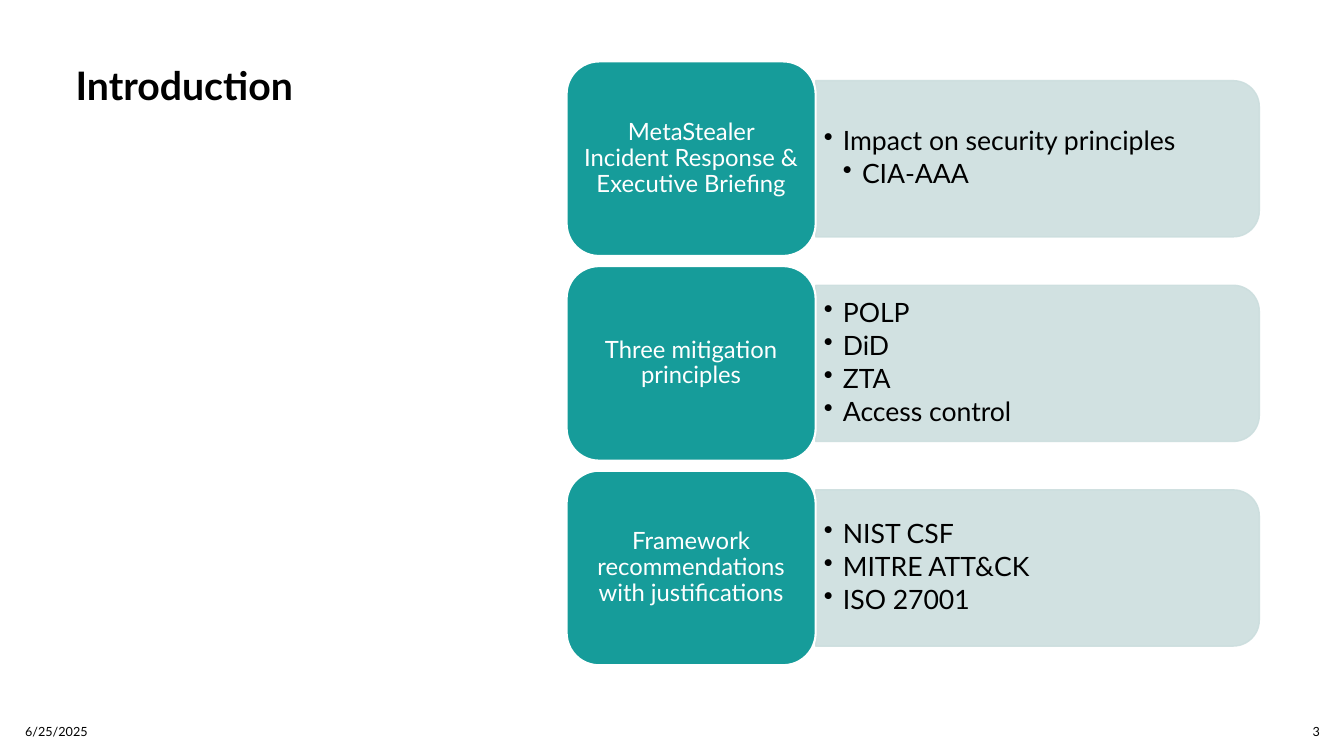
from lxml import etree
from pptx import Presentation
from pptx.dml.color import RGBColor
from pptx.enum.shapes import MSO_SHAPE
from pptx.enum.text import MSO_ANCHOR, MSO_AUTO_SIZE, PP_ALIGN
from pptx.oxml.ns import qn
from pptx.util import Inches, Pt

ROUNDED, TAB = MSO_SHAPE.ROUNDED_RECTANGLE, MSO_SHAPE.ROUND_2_SAME_RECTANGLE
TOP, MIDDLE = MSO_ANCHOR.TOP, MSO_ANCHOR.MIDDLE
LEFT, CENTER, RIGHT = PP_ALIGN.LEFT, PP_ALIGN.CENTER, PP_ALIGN.RIGHT
NO_FIT = MSO_AUTO_SIZE.NONE

TEAL = RGBColor(0x16, 0x9C, 0x9A)
MIST = RGBColor(0xCC, 0xDE, 0xDE)
WHITE = RGBColor(0xFF, 0xFF, 0xFF)
BLACK = RGBColor(0, 0, 0)
FONT = "Lato"

GRID_TOP, ROW_PITCH = 0.61, 2.03
LABEL_X, LABEL_W, LABEL_H = 5.62, 2.47, 1.93
PANEL_X, PANEL_W, PANEL_H = LABEL_X + LABEL_W, 4.4, 1.55
LIST_W, LIST_H = 4.32, 1.4
INDENT = 0.19
FOOTER_Y, FOOTER_H = 7.06, 0.4

TOPICS = [
    ("MetaStealer Incident Response & Executive Briefing",
     [("Impact on security principles", 0), ("CIA-AAA", 1)]),
    ("Three mitigation principles",
     [("POLP", 0), ("DiD", 0), ("ZTA", 0), ("Access control", 0)]),
    ("Framework recommendations with justifications",
     [("NIST CSF", 0), ("MITRE ATT&CK", 0), ("ISO 27001", 0)]),
]


def set_frame(tf, anchor=MIDDLE, side=0.1, edge=0.05):
    tf.word_wrap = True
    tf.auto_size = NO_FIT
    tf.vertical_anchor = anchor
    tf.margin_left = tf.margin_right = Inches(side)
    tf.margin_top = tf.margin_bottom = Inches(edge)


def add_run(p, text, size, color=BLACK, bold=False, align=LEFT, spacing=0.9):
    p.alignment = align
    p.line_spacing = spacing
    r = p.add_run()
    r.text = text
    r.font.name = FONT
    r.font.size = Pt(size)
    r.font.bold = bold
    r.font.color.rgb = color


def add_bullet(p, level):
    p.level = level
    pPr = p._p.get_or_add_pPr()
    pPr.set("marL", str(Inches(INDENT * (level + 1))))
    pPr.set("indent", str(Inches(-INDENT)))
    etree.SubElement(pPr, qn("a:buChar"), char="•")


def add_block(s, preset, x, y, w, h, fill, line, width):
    sp = s.shapes.add_shape(preset, Inches(x), Inches(y), Inches(w), Inches(h))
    sp.shadow.inherit = False
    sp.fill.solid()
    sp.fill.fore_color.rgb = fill
    sp.line.color.rgb = line
    sp.line.width = Pt(width)
    return sp


def add_title(s, text):
    sp = s.shapes.title
    sp.left, sp.top = Inches(0.65), Inches(GRID_TOP)
    sp.width, sp.height = Inches(3.93), Inches(1.92)
    set_frame(sp.text_frame, TOP)
    add_run(sp.text_frame.paragraphs[0], text, 28, bold=True)


def add_footer(s, text, x, w, align):
    sp = s.shapes.add_textbox(Inches(x), Inches(FOOTER_Y), Inches(w), Inches(FOOTER_H))
    set_frame(sp.text_frame)
    p = sp.text_frame.paragraphs[0]
    add_run(p, text, 9, align=align, spacing=1.0)
    p.space_after = Pt(6)


def add_panel(s, center_y):
    x = PANEL_X + (PANEL_W - PANEL_H) / 2
    sp = add_block(s, TAB, x, center_y - PANEL_W / 2, PANEL_H, PANEL_W, MIST, MIST, 1)
    sp.rotation = 90
    for color in sp._element.spPr.iter(qn("a:srgbClr")):
        etree.SubElement(color, qn("a:alpha"), val="90000")


def add_list(s, center_y, items):
    sp = s.shapes.add_textbox(Inches(PANEL_X), Inches(center_y - LIST_H / 2),
                              Inches(LIST_W), Inches(LIST_H))
    tf = sp.text_frame
    set_frame(tf, side=0.08, edge=0.04)
    for i, (text, level) in enumerate(items):
        p = tf.add_paragraph() if i else tf.paragraphs[0]
        add_bullet(p, level)
        add_run(p, text, 19)
        p.space_after = Pt(3)


def add_label(s, y, text):
    sp = add_block(s, ROUNDED, LABEL_X, y, LABEL_W, LABEL_H, TEAL, WHITE, 1.5)
    set_frame(sp.text_frame, side=0.07, edge=0.04)
    add_run(sp.text_frame.paragraphs[0], text, 17, WHITE, align=CENTER)


def add_topic(s, row, label, items):
    y = GRID_TOP + row * ROW_PITCH
    center_y = y + LABEL_H / 2
    add_panel(s, center_y)
    add_list(s, center_y, items)
    add_label(s, y, label)


def main():
    prs = Presentation()
    prs.slide_width, prs.slide_height = Inches(13.33), Inches(7.5)
    s = prs.slides.add_slide(prs.slide_layouts[5])
    add_title(s, "Introduction")
    add_footer(s, "6/25/2025", 0.15, 3.82, LEFT)
    add_footer(s, "3", 12.72, 0.47, RIGHT)
    for row, (label, items) in enumerate(TOPICS):
        add_topic(s, row, label, items)
    prs.save("out.pptx")


if __name__ == "__main__":
    main()
